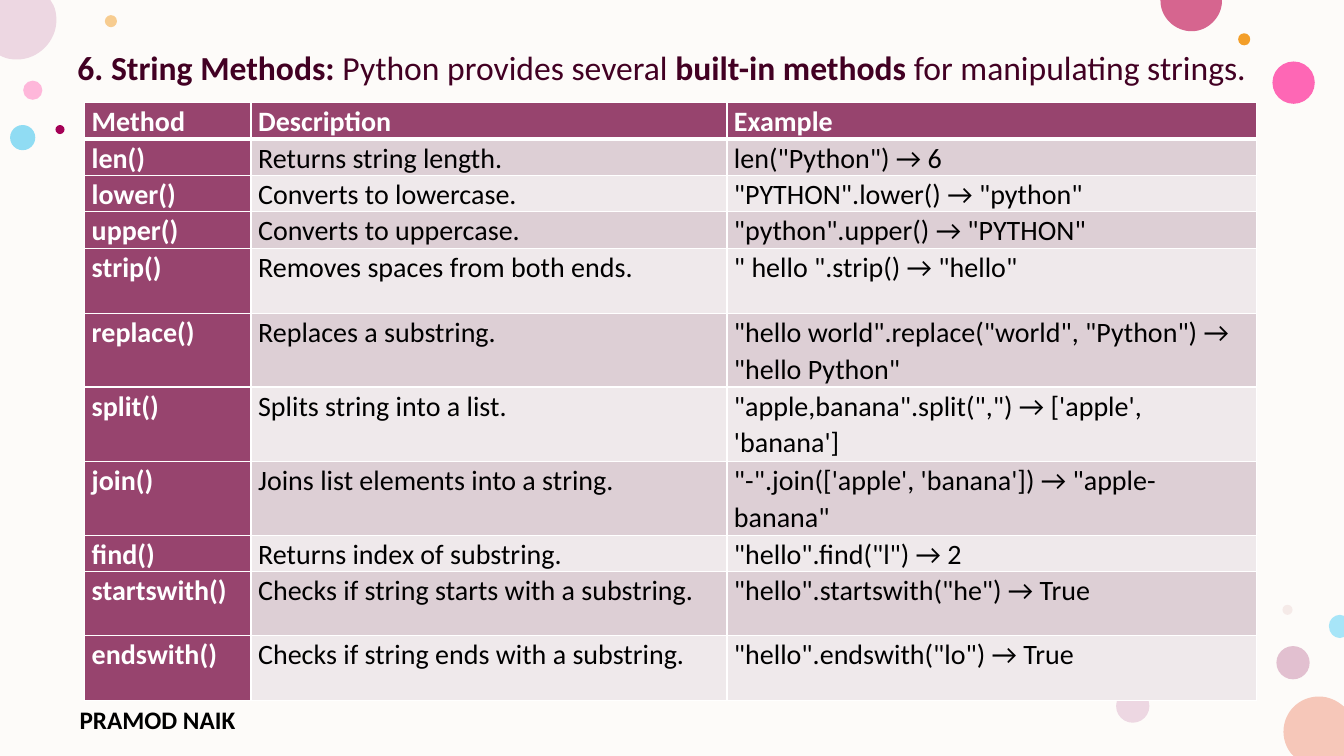
"""Build a slide that tabulates Python string methods."""
from dataclasses import dataclass

from lxml import etree
from pptx import Presentation
from pptx.dml.color import RGBColor
from pptx.enum.shapes import MSO_SHAPE
from pptx.oxml.ns import qn
from pptx.shapes.autoshape import Shape
from pptx.slide import Slide
from pptx.table import _Cell
from pptx.text.text import _Paragraph
from pptx.util import Inches, Pt

OVAL = MSO_SHAPE.OVAL
RECTANGLE = MSO_SHAPE.RECTANGLE
SLIDE_WIDTH, SLIDE_HEIGHT = 13.33, 7.5
FONT = "Calibri"
COLORS = {
    "background": "FDFBF9",
    "title": "420023",
    "black": "000000",
    "white": "FFFFFF",
    "plum": "97446E",
    "band_dark": "DDCFD5",
    "band_light": "EFE9EB",
    "pink": "FF75BD",
    "hot_pink": "FF2F9C",
    "orange": "F39E29",
    "mauve": "C987A8",
    "blue": "24BEEE",
    "pale_blue": "A7E5F8",
    "blush": "E3BEBE",
    "lilac": "EDD7E2",
    "peach": "F6C7B9",
    "rose": "D6658F",
    "crimson": "A40056",
}
Point = tuple[float, float]


@dataclass(frozen=True)
class Dot:
    """A full circle given by its left, top and diameter."""
    left: float
    top: float
    diameter: float
    color: str
    opacity: int = 100


@dataclass(frozen=True)
class EdgeCircle:
    """A circle cut off by the slide edge; one point is a line, three are a curve."""
    color: str
    start: Point
    segments: list[list[Point]]


@dataclass(frozen=True)
class MethodRow:
    """One table row."""
    method: str
    description: str
    example: str
    height: float = 0.36


DOTS = [
    Dot(0.23, 0.8, 0.19, "pink", 50),
    Dot(1.04, 0.15, 0.12, "orange", 50),
    Dot(12.66, 6.41, 0.33, "mauve", 50),
    Dot(0.1, 1.24, 0.25, "blue", 50),
    Dot(12.62, 0.61, 0.42, "hot_pink", 72),
    Dot(12.28, 0.33, 0.12, "orange"),
    Dot(12.72, 6, 0.1, "blush", 28),
    Dot(11.07, 6.84, 0.33, "lilac"),
    Dot(0.55, 1.24, 0.09, "crimson"),
]
EDGE_CIRCLES = [
    EdgeCircle("peach", (13.08, 6.91), [
        [(13.18, 6.91), (13.26, 6.95), (13.33, 7.01)], [(13.33, 7.5)], [(12.83, 7.5)],
        [(12.81, 7.48)], [(12.76, 7.42), (12.73, 7.34), (12.73, 7.26)],
        [(12.73, 7.06), (12.89, 6.91), (13.08, 6.91)]]),
    EdgeCircle("lilac", (0, 0), [
        [(0.5, 0)], [(0.53, 0.05)], [(0.55, 0.09), (0.56, 0.14), (0.56, 0.2)],
        [(0.56, 0.41), (0.38, 0.59), (0.17, 0.59)],
        [(0.11, 0.59), (0.06, 0.58), (0.02, 0.56)], [(0, 0.55)]]),
    EdgeCircle("rose", (11.51, 0), [
        [(12.12, 0)], [(12.12, 0.01)], [(12.12, 0.17), (11.98, 0.31), (11.82, 0.31)],
        [(11.65, 0.31), (11.51, 0.17), (11.51, 0.01)]]),
    EdgeCircle("pale_blue", (13.29, 6.1), [
        [(13.33, 6.11)], [(13.33, 6.32)], [(13.29, 6.33)],
        [(13.23, 6.33), (13.18, 6.28), (13.18, 6.21)],
        [(13.18, 6.15), (13.23, 6.1), (13.29, 6.1)]]),
]
COLUMN_WIDTHS = [1.65, 4.72, 5.25]
ROWS = [
    MethodRow("Method", "Description", "Example"),
    MethodRow("len()", "Returns string length.", 'len("Python") → 6'),
    MethodRow("lower()", "Converts to lowercase.", '"PYTHON".lower() → "python"'),
    MethodRow("upper()", "Converts to uppercase.", '"python".upper() → "PYTHON"', 0.37),
    MethodRow("strip()", "Removes spaces from both ends.", '" hello ".strip() → "hello"', 0.64),
    MethodRow("replace()", "Replaces a substring.",
              '"hello world".replace("world", "Python") → "hello Python"', 0.73),
    MethodRow("split()", "Splits string into a list.",
              '"apple,banana".split(",") → [\'apple\', \'banana\']', 0.74),
    MethodRow("join()", "Joins list elements into a string.",
              '"-".join([\'apple\', \'banana\']) → "apple-banana"', 0.73),
    MethodRow("find()", "Returns index of substring.", '"hello".find("l") → 2'),
    MethodRow("startswith()", "Checks if string starts with a substring.",
              '"hello".startswith("he") → True', 0.64),
    MethodRow("endswith()", "Checks if string ends with a substring.",
              '"hello".endswith("lo") → True', 0.64),
]
TITLE_RUNS = [
    ("6. String Methods: ", True),
    ("Python provides several ", False),
    ("built-in methods ", True),
    ("for manipulating strings.", False),
]


def rgb(color: str) -> RGBColor:
    """Look up a named colour."""
    return RGBColor.from_string(COLORS[color])


def add_text(paragraph: _Paragraph, text: str, *, size: int, color: str, bold: bool) -> None:
    """Append a formatted run to a paragraph."""
    run = paragraph.add_run()
    run.text = text
    run.font.name = FONT
    run.font.size = Pt(size)
    run.font.bold = bold
    run.font.color.rgb = rgb(color)


def add_box(slide: Slide, left: float, top: float, width: float, height: float) -> _Paragraph:
    """Add a wrapping text box and return its paragraph."""
    text_frame = slide.shapes.add_textbox(
        Inches(left), Inches(top), Inches(width), Inches(height)).text_frame
    text_frame.word_wrap = True
    return text_frame.paragraphs[0]


def paint(shape: Shape, color: str, opacity: int = 100) -> None:
    """Give a shape a plain fill without line or shadow."""
    shape.shadow.inherit = False
    shape.line.fill.background()
    shape.fill.solid()
    shape.fill.fore_color.rgb = rgb(color)
    if opacity < 100:
        fill_color = next(shape._element.spPr.iter(qn("a:srgbClr")))
        etree.SubElement(fill_color, qn("a:alpha"), val=str(opacity * 1000))


def add_dot(slide: Slide, dot: Dot) -> None:
    """Draw a full circle."""
    diameter = Inches(dot.diameter)
    shape = slide.shapes.add_shape(OVAL, Inches(dot.left), Inches(dot.top), diameter, diameter)
    paint(shape, dot.color, dot.opacity)


def add_edge_circle(slide: Slide, circle: EdgeCircle) -> None:
    """Draw a clipped circle, turning each three-point segment into a curve."""
    builder = slide.shapes.build_freeform(*map(Inches, circle.start))
    builder.add_line_segments(
        [(Inches(x), Inches(y)) for segment in circle.segments for x, y in segment], close=True)
    shape = builder.convert_to_shape()
    lines = iter(list(shape._element.iter(qn("a:lnTo"))))
    for segment in circle.segments:
        first, *others = [next(lines) for _ in segment]
        if others:
            first.tag = qn("a:cubicBezTo")
            for line in others:
                first.append(line[0])
                line.getparent().remove(line)
    paint(shape, circle.color)


def add_borders(cell: _Cell, row_index: int) -> None:
    """Outline a cell in white, with a heavy rule below the header."""
    heavy_side = {0: "lnB", 1: "lnT"}.get(row_index)
    properties = cell._tc.get_or_add_tcPr()
    for side in ("lnL", "lnR", "lnT", "lnB"):
        width = Pt(3 if side == heavy_side else 1)
        border = etree.SubElement(properties, qn(f"a:{side}"), w=str(width))
        fill = etree.SubElement(border, qn("a:solidFill"))
        etree.SubElement(fill, qn("a:srgbClr"), val=COLORS["white"])


def add_method_table(slide: Slide) -> None:
    """Add the table of string methods."""
    table = slide.shapes.add_table(
        len(ROWS), len(COLUMN_WIDTHS), Inches(0.84), Inches(1.02),
        Inches(sum(COLUMN_WIDTHS)), Inches(sum(row.height for row in ROWS))).table
    table.first_col = True
    for column, width in zip(table.columns, COLUMN_WIDTHS):
        column.width = Inches(width)
    for row_index, row in enumerate(ROWS):
        table.rows[row_index].height = Inches(row.height)
        band = "band_dark" if row_index % 2 else "band_light"
        for column_index, text in enumerate((row.method, row.description, row.example)):
            heading = row_index == 0 or column_index == 0
            cell = table.cell(row_index, column_index)
            cell.margin_left = cell.margin_right = Inches(0.07)
            cell.margin_top = cell.margin_bottom = 0
            add_borders(cell, row_index)
            cell.fill.solid()
            cell.fill.fore_color.rgb = rgb("plum" if heading else band)
            paragraph = cell.text_frame.paragraphs[0]
            paragraph.line_spacing = 1.07
            paragraph.space_after = Pt(8)
            add_text(paragraph, text, size=20, color="white" if heading else "black", bold=heading)


def main() -> None:
    """Build and save the presentation."""
    presentation = Presentation()
    presentation.slide_width = Inches(SLIDE_WIDTH)
    presentation.slide_height = Inches(SLIDE_HEIGHT)
    slide = presentation.slides.add_slide(presentation.slide_layouts[6])
    backdrop = slide.shapes.add_shape(
        RECTANGLE, 0, 0, presentation.slide_width, presentation.slide_height)
    paint(backdrop, "background")
    for dot in DOTS:
        add_dot(slide, dot)
    for circle in EDGE_CIRCLES:
        add_edge_circle(slide, circle)
    author = add_box(slide, 0.69, 6.94, 2.45, 0.32)
    add_text(author, "PRAMOD NAIK", size=18, color="black", bold=True)
    title = add_box(slide, 0.67, 0.46, 11.93, 6.02)
    title.line_spacing = 0.9
    for text, bold in TITLE_RUNS:
        add_text(title, text, size=24, color="title", bold=bold)
    add_method_table(slide)
    presentation.save("out.pptx")


if __name__ == "__main__":
    main()
